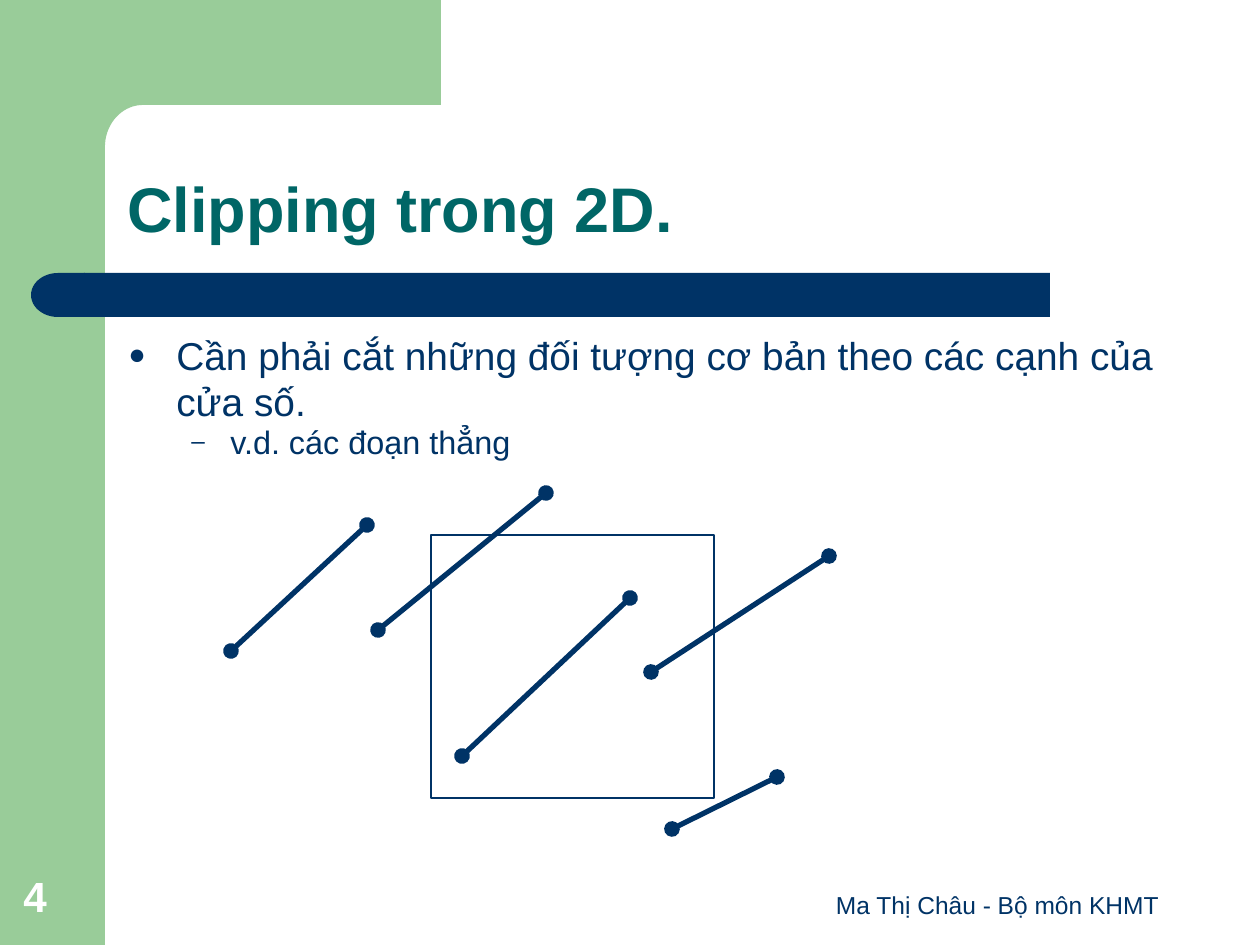
import math
from dataclasses import dataclass

from lxml import etree
from pptx import Presentation
from pptx import util as u
from pptx.dml.color import RGBColor
from pptx.enum import shapes, text
from pptx.oxml import ns


@dataclass(frozen=True)
class Theme:
    green: RGBColor = RGBColor(0x99, 0xCC, 0x99)
    navy: RGBColor = RGBColor(0x00, 0x33, 0x66)
    teal: RGBColor = RGBColor(0x00, 0x66, 0x66)
    white: RGBColor = RGBColor(0xFF, 0xFF, 0xFF)
    font: str = "Arial"
    title: float = 36
    body: float = 22.2
    sub: float = 18.5
    footer: float = 14
    number: float = 24.1


theme = Theme()
SCALE = 914400 / 126  # EMU per px


def px(*lengths):
    return [u.Emu(round(length * SCALE)) for length in lengths]


def write(box, words, size, color=theme.navy, bold=False, align=text.PP_ALIGN.LEFT,
          anchor=text.MSO_ANCHOR.BOTTOM, spacing=1.0, before=0, bullet=None,
          margin=0, hang=0, level=0, new=False):
    frame = box.text_frame
    frame.word_wrap = True
    frame.vertical_anchor = anchor
    para = frame.add_paragraph() if new else frame.paragraphs[0]
    para.level = level
    if bullet:
        props = para._p.get_or_add_pPr()
        left, indent = px(margin, -hang)
        props.set("marL", str(left))
        props.set("indent", str(indent))
        etree.SubElement(props, ns.qn("a:buSzPct"), val="75000")
        etree.SubElement(props, ns.qn("a:buFont"), typeface=theme.font)
        etree.SubElement(props, ns.qn("a:buChar"), char=bullet)
    para.alignment = align
    para.line_spacing = spacing
    para.space_before = u.Pt(before)
    span = para.add_run()
    span.text = words
    span.font.name = theme.font
    span.font.size = u.Pt(size)
    span.font.bold = bold
    span.font.color.rgb = color


deck = Presentation()
deck.slide_width, deck.slide_height = px(1260, 945)
page = deck.slides.add_slide(deck.slide_layouts[6])
kinds = shapes.MSO_SHAPE

# Green corner with a rounded inner edge
corner = [(143 - 38 * math.sin(math.radians(angle)), 147 - 42 * math.cos(math.radians(angle)))
          for angle in range(0, 91, 5)]
outline = [(441, 105), *corner, (105, 161), (63, 161), (63, 0)]
builder = page.shapes.build_freeform(*px(441, 0))
builder.add_line_segments([px(*point) for point in outline], close=True)
green_corner = builder.convert_to_shape()

# Green side band and navy title bar
side_band = page.shapes.add_shape(kinds.RECTANGLE, *px(0, 0, 105, 945))
title_bar = page.shapes.add_shape(kinds.RECTANGLE, *px(84, 273, 966, 44))
bar_cap = page.shapes.add_shape(kinds.FLOWCHART_DELAY, *px(31, 273, 54, 44))
bar_cap.rotation = 180
for shape, color in ((green_corner, theme.green), (side_band, theme.green),
                     (title_bar, theme.navy), (bar_cap, theme.navy)):
    shape.shadow.inherit = False
    shape.fill.solid()
    shape.fill.fore_color.rgb = color
    shape.line.fill.background()

# Title, footer and page number
title = page.shapes.add_textbox(*px(115, 115, 1072, 137))
write(title, "Clipping trong 2D.", theme.title, color=theme.teal, bold=True, spacing=0.9)
footer = page.shapes.add_textbox(*px(798, 861, 399, 65))
write(footer, "Ma Thị Châu - Bộ môn KHMT", theme.footer, align=text.PP_ALIGN.CENTER)
number = page.shapes.add_textbox(*px(11, 861, 81, 66))
write(number, "4", theme.number, color=theme.white, bold=True)

# Body bullets
body = page.shapes.add_textbox(*px(116, 325, 1060, 142))
write(body, "Cần phải cắt những đối tượng cơ bản theo các cạnh của cửa số.", theme.body,
      anchor=text.MSO_ANCHOR.TOP, bullet="●", margin=48, hang=48)
write(body, "v.d. các đoạn thẳng", theme.sub, anchor=text.MSO_ANCHOR.TOP, spacing=0.7,
      before=5, bullet="–", margin=102, hang=39, level=1, new=True)

# Clipping window
window = page.shapes.add_shape(kinds.RECTANGLE, *px(431, 535, 283, 263))
window.shadow.inherit = False
window.fill.background()
window.line.color.rgb = theme.navy
window.line.width = u.Pt(0.75)

# Segments with round ends
segments = [
    (462, 756, 630, 598),
    (378, 630, 546, 493),
    (651, 672, 829, 556),
    (231, 651, 367, 525),
    (672, 829, 777, 777),
]
for ends in segments:
    segment = page.shapes.add_connector(shapes.MSO_CONNECTOR.STRAIGHT, *px(*ends))
    segment.line.color.rgb = theme.navy
    segment.line.width = u.Pt(3)
    stroke = segment.line._get_or_add_ln()
    for end in ("a:headEnd", "a:tailEnd"):
        etree.SubElement(stroke, ns.qn(end), type="oval")
    etree.SubElement(segment._element.spPr, ns.qn("a:effectLst"))

deck.save("out.pptx")
